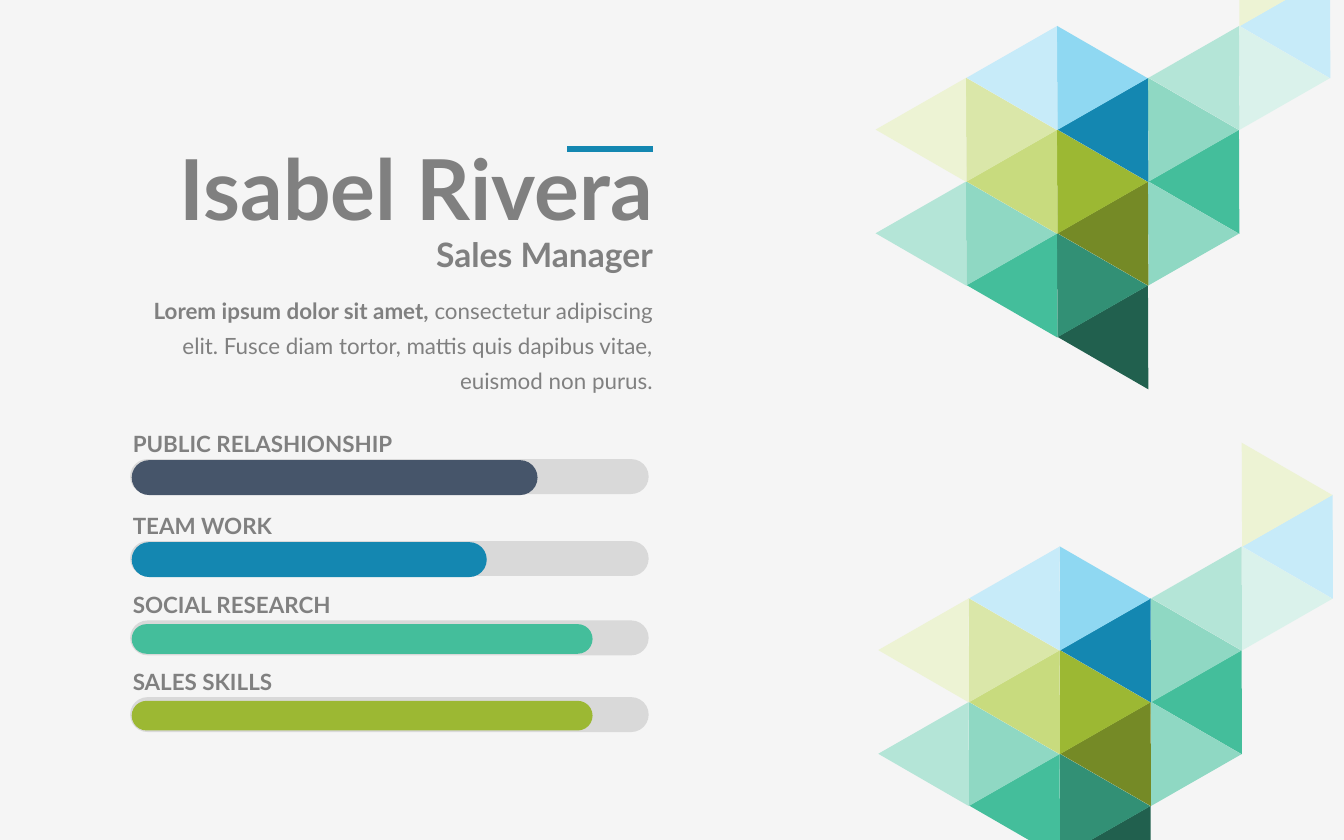
from dataclasses import dataclass

from lxml.etree import SubElement
from pptx import Presentation
from pptx.dml.color import RGBColor
from pptx.enum.shapes import MSO_CONNECTOR, MSO_SHAPE
from pptx.enum.text import MSO_ANCHOR, MSO_AUTO_SIZE, PP_ALIGN
from pptx.oxml.ns import qn
from pptx.util import Cm, Pt


@dataclass(frozen=True)
class Theme:
    font: str = "Lato"
    background: str = "F5F5F5"
    ink: str = "808080"
    track: str = "D9D9D9"
    slate: str = "46556A"
    blue: str = "1487B1"
    sky: str = "8FD8F2"
    pale_sky: str = "C7EBF9"
    forest: str = "21604E"
    pine: str = "329075"
    green: str = "44BE9B"
    mint: str = "8FD8C3"
    light_mint: str = "B4E5D7"
    pale_mint: str = "DAF2EB"
    olive: str = "758A26"
    lime: str = "9CB833"
    light_lime: str = "C8DB7E"
    soft_lime: str = "DAE7A9"
    pale_lime: str = "EDF3D4"
    name_size: int = 45
    role_size: int = 18
    text_size: int = 12


THEME = Theme()

MOSAIC = [
    (4, 13, THEME.forest), (3, 12, THEME.pine), (2, 11, THEME.green),
    (1, 10, THEME.mint), (0, 9, THEME.light_mint), (5, 10, THEME.mint),
    (4, 9, THEME.olive), (3, 8, THEME.lime), (2, 7, THEME.light_lime),
    (1, 6, THEME.soft_lime), (0, 5, THEME.pale_lime), (6, 7, THEME.green),
    (5, 6, THEME.mint), (4, 5, THEME.blue), (3, 4, THEME.sky),
    (2, 3, THEME.pale_sky), (7, 4, THEME.pale_mint), (6, 3, THEME.light_mint),
    (8, 1, THEME.pale_sky), (7, 0, THEME.pale_lime),
]
MOSAIC_ORIGINS = [(16.84, -1.09), (16.89, 8.75)]
COLUMN_STEP, ROW_STEP = 0.86, 0.49

SKILLS = [
    ("PUBLIC RELASHIONSHIP", 7.87, 7.67, 0.66, THEME.slate),
    ("TEAM WORK", 9.42, 6.71, 0.66, THEME.blue),
    ("SOCIAL RESEARCH", 10.92, 8.71, 0.56, THEME.green),
    ("SALES SKILLS", 12.37, 8.71, 0.56, THEME.lime),
]


def write(frame, *runs, size, align=PP_ALIGN.RIGHT, anchor=MSO_ANCHOR.TOP,
          padding=0, spacing=1.0):
    frame.word_wrap = True
    frame.auto_size = MSO_AUTO_SIZE.NONE
    frame.vertical_anchor = anchor
    frame.margin_left = frame.margin_right = 0
    frame.margin_top = frame.margin_bottom = Cm(padding)
    paragraph = frame.paragraphs[0]
    properties = paragraph._p.get_or_add_pPr()
    properties.set("marL", "0")
    properties.set("indent", "0")
    SubElement(properties, qn("a:buNone"))
    paragraph.alignment = align
    paragraph.line_spacing = spacing
    paragraph.space_before = Pt(0)
    for words, bold in runs:
        run = paragraph.add_run()
        run.text = words
        run.font.name = THEME.font
        run.font.size = Pt(size)
        run.font.bold = bold
        run.font.color.rgb = RGBColor.from_string(THEME.ink)


class ProfileSlide:
    def __init__(self, deck, theme):
        self.theme = theme
        self.slide = deck.slides.add_slide(deck.slide_layouts[1])
        fill = self.slide.background.fill
        fill.solid()
        fill.fore_color.rgb = RGBColor.from_string(theme.background)

    def shape(self, shapes, preset, box, color):
        shape = shapes.add_shape(preset, *map(Cm, box))
        shape.shadow.inherit = False
        shape.fill.solid()
        shape.fill.fore_color.rgb = RGBColor.from_string(color)
        shape.line.fill.background()
        return shape

    def mosaic(self, left, top):
        tiles = self.slide.shapes.add_group_shape().shapes
        for column, row, color in MOSAIC:
            box = (left + column * COLUMN_STEP, top + row * ROW_STEP, 1.98, 1.7)
            tile = self.shape(tiles, MSO_SHAPE.ISOSCELES_TRIANGLE, box, color)
            tile.rotation = 210 if column % 2 else 30

    def bar(self, left, middle, length, thickness, color):
        box = (left, middle - thickness / 2, length, thickness)
        bar = self.shape(self.slide.shapes, MSO_SHAPE.ROUNDED_RECTANGLE, box, color)
        bar.adjustments[0] = 0.5

    def rule(self, start, end, y, color, weight):
        rule = self.slide.shapes.add_connector(
            MSO_CONNECTOR.STRAIGHT, Cm(start), Cm(y), Cm(end), Cm(y))
        rule.line.color.rgb = RGBColor.from_string(color)
        rule.line.width = Pt(weight)
        SubElement(rule._element.spPr, qn("a:effectLst"))

    def placeholder(self, index, box, *runs, **style):
        holder = self.slide.placeholders[index]
        holder.left, holder.top, holder.width, holder.height = map(Cm, box)
        write(holder.text_frame, *runs, **style)

    def text(self, box, *runs, **style):
        write(self.slide.shapes.add_textbox(*map(Cm, box)).text_frame, *runs, **style)

    def skill(self, label, top, length, thickness, color):
        self.bar(2.46, top + 1.14, 9.8, 0.66, self.theme.track)
        self.text((2.51, top, 9.83, 0.89), (label, True), size=self.theme.text_size,
                  align=PP_ALIGN.JUSTIFY, spacing=1.5)
        self.bar(2.49, top + 1.16, length, thickness, color)


def main():
    deck = Presentation()
    deck.slide_width, deck.slide_height = Cm(25.4), Cm(15.88)
    profile = ProfileSlide(deck, THEME)
    for origin in MOSAIC_ORIGINS:
        profile.mosaic(*origin)
    profile.rule(12.34, 10.72, 2.82, THEME.blue, 3)
    profile.placeholder(0, (2.46, 2.84, 9.88, 1.37), ("Isabel Rivera", True),
                        size=THEME.name_size, anchor=MSO_ANCHOR.MIDDLE, padding=0.1)
    profile.text((2.46, 4.29, 9.88, 1.02), ("Sales Manager", True),
                 size=THEME.role_size, anchor=MSO_ANCHOR.MIDDLE, padding=0.1)
    profile.placeholder(
        1, (2.46, 5.46, 9.88, 1.98),
        ("Lorem ipsum dolor sit amet, ", True),
        ("consectetur adipiscing elit. Fusce diam tortor, mattis quis dapibus vitae, "
         "euismod non purus.", False),
        size=THEME.text_size, spacing=1.3)
    for skill in SKILLS:
        profile.skill(*skill)
    deck.save("out.pptx")


if __name__ == "__main__":
    main()
